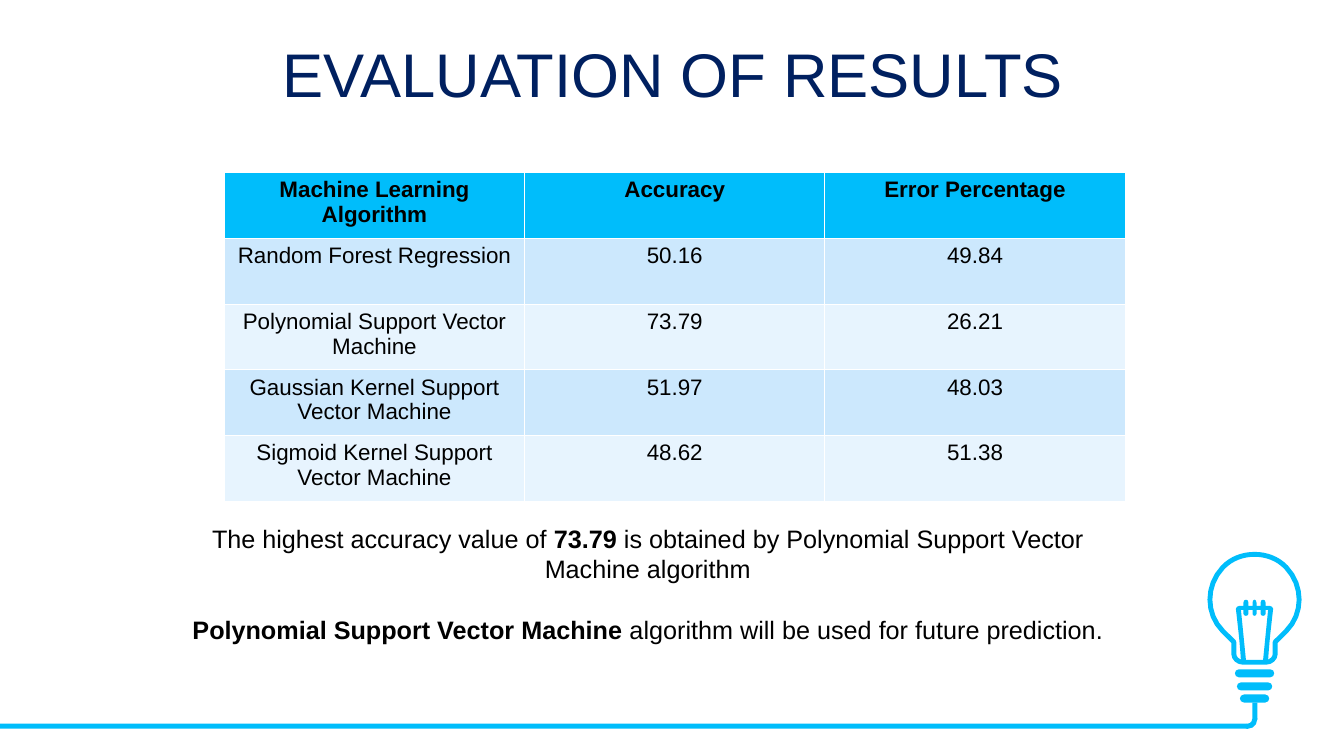
from pptx import Presentation
from pptx.dml.color import RGBColor
from pptx.enum.shapes import MSO_SHAPE as Preset
from pptx.enum.text import MSO_ANCHOR as Anchor, MSO_AUTO_SIZE as AutoSize, PP_ALIGN as Align
from pptx.util import Inches, Pt

COLORS = {
    "sky": "00BDFB",
    "navy": "002060",
    "text": "000000",
    "white": "FFFFFF",
    "band_dark": "CCE8FD",
    "band_light": "E7F4FE",
}
COLUMNS, ROWS = 1333, 750  # square cells covering the slide
FONT = "Arial"
TITLE_ONLY = 5

RESULTS = [
    ("Machine Learning Algorithm", "Accuracy", "Error Percentage"),
    ("Random Forest Regression", "50.16", "49.84"),
    ("Polynomial Support Vector Machine", "73.79", "26.21"),
    ("Gaussian Kernel Support Vector Machine", "51.97", "48.03"),
    ("Sigmoid Kernel Support Vector Machine", "48.62", "51.38"),
]
FINDINGS = [
    [("The highest accuracy value of ", False), ("73.79 ", True),
     ("is obtained by Polynomial Support Vector Machine algorithm", False)],
    [("Polynomial Support Vector Machine ", True),
     ("algorithm will be used for future prediction.", False)],
]

# Right halves, as (offset from the axis, row); six numbers make a curve
BULB_AXIS = 1244.3
GLASS = [
    (0, 550), (11.5, 550, 23, 554, 31.5, 563), (48.5, 581, 48.5, 609, 31.5, 626),
    (20.5, 637), (20.5, 649), (20.5, 653, 16.5, 657, 11.5, 657),
]
FILAMENT = [
    (0, 595), (1, 595, 2, 596, 2, 598), (2, 601), (6, 601), (6, 598),
    (6, 596, 7, 595, 8.5, 595), (10, 595, 11, 596, 11, 598), (11, 601), (15, 601),
    (17, 601, 18.5, 603, 18.5, 604), (16.5, 621, 14.5, 638, 13.5, 655),
    (13, 657, 11.5, 658, 10.5, 657.5), (9, 657, 8.5, 656, 8.5, 655),
    (13.5, 605), (11, 605), (11, 609), (11, 610, 10, 611, 8.5, 611),
    (7, 611, 6, 610, 6, 609), (6, 605), (2, 605), (2, 609), (2, 610, 1, 611, 0, 611),
]
SCREW_BASE = [
    [(0, top), (reach, top), (reach + 5.3, top, reach + 5.3, top + 8, reach, top + 8),
     (0, top + 8)]
    for top, reach in ((664, 15.5), (677, 13.5), (689, 10.5))
]


def rgb(name):
    return RGBColor.from_string(COLORS[name])


def add_text(paragraph, text, size=18, color="text", bold=False, align=Align.CENTER,
             spacing=None, before=None):
    paragraph.alignment = align
    if spacing:
        paragraph.line_spacing = spacing
    if before is not None:
        paragraph.space_before = Pt(before)
    run = paragraph.add_run()
    run.text = text
    font = run.font
    font.name, font.size, font.bold = FONT, Pt(size), bold
    font.color.rgb = rgb(color)


def trace(half):
    """Turn half an outline into points; longer curves get more of them."""
    points = [half[0]]
    for node in half[1:]:
        if len(node) == 2:
            points.append(node)
            continue
        controls = [points[-1], node[:2], node[2:4], node[4:]]
        span = sum(abs(b[0] - a[0]) + abs(b[1] - a[1])
                   for a, b in zip(controls, controls[1:]))
        steps = max(2, min(8, round(span / 4.5)))
        for step in range(1, steps + 1):
            t = step / steps
            weights = ((1 - t) ** 3, 3 * t * (1 - t) ** 2, 3 * t * t * (1 - t), t ** 3)
            points.append(tuple(sum(w * c[axis] for w, c in zip(weights, controls))
                                for axis in (0, 1)))
    return points


class ResultsSlide:
    def __init__(self, deck):
        self.cell = deck.slide_width / COLUMNS
        self.slide = deck.slides.add_slide(deck.slide_layouts[TITLE_ONLY])
        self.shapes = self.slide.shapes
        background = self.slide.background.fill
        background.solid()
        background.fore_color.rgb = rgb("white")

    def grid(self, *cells):
        return [round(count * self.cell) for count in cells]

    def paint(self, shape, fill, line=None, width=0):
        shape.shadow.inherit = False
        shape.fill.solid()
        shape.fill.fore_color.rgb = rgb(fill)
        if line:
            shape.line.color.rgb = rgb(line)
            shape.line.width = Pt(width)
        else:
            shape.line.fill.background()

    def preset(self, kind, *box, adjustments=(), fill="sky"):
        shape = self.shapes.add_shape(kind, *self.grid(*box))
        for index, value in enumerate(adjustments):
            shape.adjustments[index] = value
        self.paint(shape, fill)

    def mirrored(self, halves, axis, **style):
        builder = None
        for half in halves:
            right = trace(half)
            left = [(-x, y) for x, y in reversed(right) if x > 0]
            points = [self.grid(axis + x, y) for x, y in right + left]
            if builder:
                builder.move_to(*points[0])
            else:
                builder = self.shapes.build_freeform(*points[0])
            builder.add_line_segments(points[1:], close=True)
        self.paint(builder.convert_to_shape(), **style)

    def title(self, text, *box):
        heading = self.shapes.title
        heading.left, heading.top, heading.width, heading.height = self.grid(*box)
        frame = heading.text_frame
        frame.vertical_anchor = Anchor.MIDDLE
        frame.auto_size = AutoSize.NONE
        frame.word_wrap = True
        add_text(frame.paragraphs[0], text, size=44, color="navy", spacing=0.9, before=0)

    def table(self, records, *box):
        results = self.shapes.add_table(len(records), len(records[0]), *self.grid(*box)).table
        for row, record in enumerate(records):
            header = row == 0
            fill = "sky" if header else ("band_light", "band_dark")[row % 2]
            for column, value in enumerate(record):
                cell = results.cell(row, column)
                cell.fill.solid()
                cell.fill.fore_color.rgb = rgb(fill)
                add_text(cell.text_frame.paragraphs[0], value, size=16, bold=header)

    def statements(self, sentences, *box):
        frame = self.shapes.add_textbox(*self.grid(*box)).text_frame
        frame.word_wrap = True
        frame.auto_size = AutoSize.SHAPE_TO_FIT_TEXT
        for index, sentence in enumerate(sentences):
            paragraph = frame.add_paragraph() if index else frame.paragraphs[0]
            for text, bold in sentence:
                add_text(paragraph, text, bold=bold, before=21.7 * index)


def main():
    deck = Presentation()
    deck.slide_width, deck.slide_height = Inches(COLUMNS / 100), Inches(ROWS / 100)
    page = ResultsSlide(deck)

    # Light bulb: glass, screw base, filament
    page.mirrored([GLASS], BULB_AXIS, fill="white", line="sky", width=3.5)
    page.mirrored(SCREW_BASE, BULB_AXIS, fill="sky")
    page.mirrored([FILAMENT], BULB_AXIS, fill="sky")

    # Cord along the bottom edge
    page.preset(Preset.RECTANGLE, 0, 718, 1237, 5)
    page.preset(Preset.RECTANGLE, 1242, 697, 5, 17)
    page.preset(Preset.BLOCK_ARC, 1228, 704, 19, 19, adjustments=[213.39, 60.92, 0.27])

    # Title, results and findings
    page.title("EVALUATION OF RESULTS", 35, 37, 1266, 79)
    page.table(RESULTS, 222.5, 171.3, 893.4, 326)
    page.statements(FINDINGS, 169.5, 514, 946, 131)

    deck.save("out.pptx")


if __name__ == "__main__":
    main()
